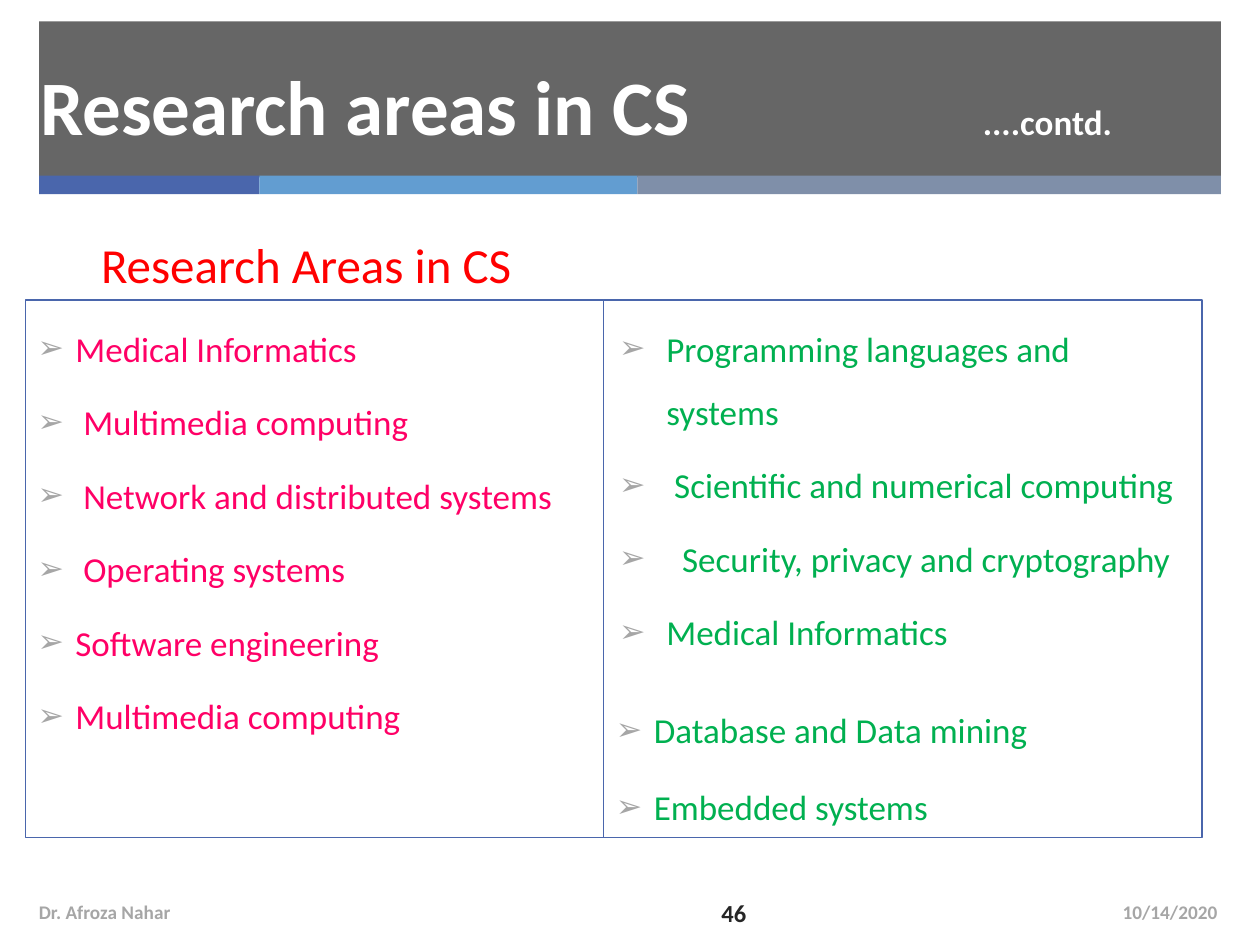
from dataclasses import dataclass

import pptx
import pptx.dml.color
import pptx.enum.shapes
import pptx.enum.text
import pptx.oxml
import pptx.oxml.ns
import pptx.util
from lxml import etree

Pt = pptx.util.Pt
RGBColor = pptx.dml.color.RGBColor
ALIGN = pptx.enum.text.PP_ALIGN
ANCHOR = pptx.enum.text.MSO_ANCHOR
qn = pptx.oxml.ns.qn

FONT = "Calibri"
BAND = RGBColor(0x26, 0x26, 0x26)
BLUE = RGBColor(0x4A, 0x66, 0xAC)
SKY = RGBColor(0x62, 0x9D, 0xD1)
SLATE = RGBColor(0x7F, 0x8F, 0xA9)
GREY = RGBColor(0xA6, 0xA6, 0xA6)
WHITE = RGBColor(0xFF, 0xFF, 0xFF)
RED = RGBColor(0xFF, 0x00, 0x00)
PINK = RGBColor(0xFF, 0x00, 0x66)
GREEN = RGBColor(0x00, 0xB0, 0x50)

SPACE_WIDTH = 4.5


@dataclass
class Box:
    left: float
    top: float
    width: float
    height: float

    def lengths(self) -> tuple:
        return tuple(Pt(v) for v in (self.left, self.top, self.width, self.height))


@dataclass
class Area:
    name: str
    indent: float
    bullet_left: float = 0
    before: float = 6
    spacing: float = 1.5
    align: ALIGN = ALIGN.JUSTIFY


@dataclass
class Label:
    text: str
    box: Box
    size: float
    color: RGBColor
    align: ALIGN = ALIGN.LEFT
    anchor: ANCHOR = ANCHOR.MIDDLE
    bold: bool = True


def style_run(run, size: float, color: RGBColor, bold: bool = False) -> None:
    run.font.name = FONT
    run.font.size = Pt(size)
    run.font.bold = bold
    run.font.color.rgb = color


def add_rectangle(slide, box: Box):
    rectangle = slide.shapes.add_shape(
        pptx.enum.shapes.MSO_SHAPE.RECTANGLE, *box.lengths())
    rectangle.shadow.inherit = False
    return rectangle


def add_bar(slide, box: Box, color: RGBColor, opacity: int = 100) -> None:
    bar = add_rectangle(slide, box)
    bar.fill.solid()
    bar.fill.fore_color.rgb = color
    bar.line.fill.background()
    if opacity < 100:
        rgb = bar.fill._xPr.find(qn("a:solidFill")).find(qn("a:srgbClr"))
        etree.SubElement(rgb, qn("a:alpha"), val=str(opacity * 1000))


def add_label(slide, label: Label) -> None:
    frame = slide.shapes.add_textbox(*label.box.lengths()).text_frame
    frame.word_wrap = True
    frame.vertical_anchor = label.anchor
    frame.text = label.text
    frame.paragraphs[0].alignment = label.align
    style_run(frame.paragraphs[0].runs[0], label.size, label.color, label.bold)


def add_arrow_bullet(paragraph, area: Area) -> None:
    props = paragraph._p.get_or_add_pPr()
    props.set("marL", str(Pt(area.indent)))
    props.set("indent", str(Pt(area.bullet_left - area.indent)))
    color = etree.SubElement(props, qn("a:buClr"))
    etree.SubElement(color, qn("a:srgbClr"), val=str(GREY))
    etree.SubElement(props, qn("a:buSzPct"), val="90000")
    etree.SubElement(props, qn("a:buFont"), typeface=FONT)
    etree.SubElement(props, qn("a:buChar"), char="➢")


def add_panel(slide, box: Box, areas: list[Area], color: RGBColor) -> None:
    panel = add_rectangle(slide, box)
    panel.fill.background()
    panel.line.color.rgb = BLUE
    panel.line.width = Pt(0.75)
    frame = panel.text_frame
    frame.word_wrap = True
    frame.vertical_anchor = ANCHOR.TOP
    frame.margin_right = Pt(10)
    frame.text = "\n".join(area.name for area in areas)
    for paragraph, area in zip(frame.paragraphs, areas):
        paragraph.alignment = area.align
        paragraph.line_spacing = area.spacing
        paragraph.space_before = Pt(area.before)
        add_arrow_bullet(paragraph, area)
        style_run(paragraph.runs[0], 20, color)


def add_title(slide, box: Box, heading: str, suffix: str, tab: float) -> None:
    """Move the title in front of the band, with the suffix at a tab stop."""
    title = slide.shapes.title
    slide.shapes._spTree.append(title._element)
    title.left, title.top, title.width, title.height = box.lengths()
    frame = title.text_frame
    frame.vertical_anchor = ANCHOR.MIDDLE
    paragraph = frame.paragraphs[0]
    paragraph.alignment = ALIGN.LEFT
    stops = etree.SubElement(paragraph._p.get_or_add_pPr(), qn("a:tabLst"))
    etree.SubElement(stops, qn("a:tab"), pos=str(Pt(tab)), algn="l")
    for text, size in ((heading + "\t", 44), (suffix, 20)):
        run = paragraph.add_run()
        run.text = text
        style_run(run, size, WHITE, True)


def right_area(name: str, spaces: int = 0) -> Area:
    return Area(name, RIGHT_INDENT + spaces * SPACE_WIDTH, RIGHT_BULLET,
                align=ALIGN.LEFT)


LEFT_INDENT, RIGHT_INDENT, RIGHT_BULLET = 21.6, 28.8, 1.8
LEFT_AREAS = [
    Area("Medical Informatics", LEFT_INDENT),
    Area("Multimedia computing", LEFT_INDENT + SPACE_WIDTH),
    Area("Network and distributed systems", LEFT_INDENT + SPACE_WIDTH),
    Area("Operating systems", LEFT_INDENT + SPACE_WIDTH),
    Area("Software engineering", LEFT_INDENT),
    Area("Multimedia computing", LEFT_INDENT),
]
RIGHT_AREAS = [
    right_area("Programming languages and systems"),
    right_area("Scientific and numerical computing", spaces=1),
    right_area("Security, privacy and cryptography", spaces=2),
    right_area("Medical Informatics"),
    Area("Database and Data mining", LEFT_INDENT, before=20),
    Area("Embedded systems", LEFT_INDENT, before=20, spacing=1, align=ALIGN.LEFT),
]
LABELS = [
    Label("Research Areas in CS", Box(15.8, 128.2, 318.2, 43.2), 28, RED,
          ALIGN.CENTER, ANCHOR.BOTTOM, False),
    Label("10/14/2020", Box(535, 506.9, 167.8, 28.8), 11, GREY, ALIGN.RIGHT),
    Label("Dr. Afroza Nahar", Box(15.1, 506.9, 230.4, 28.8), 11, GREY),
    Label("46", Box(383.8, 507.6, 49.7, 28.1), 14, BAND, ALIGN.RIGHT),
]


def main() -> None:
    deck = pptx.Presentation()
    deck.slide_width, deck.slide_height = Pt(720), Pt(540)
    slide = deck.slides.add_slide(deck.slide_layouts[5])

    add_bar(slide, Box(22.3, 12.2, 675.4, 89.3), BAND, opacity=70)
    stripe_left = 22.3
    for width, color in ((126, BLUE), (216, SKY), (333.4, SLATE)):
        add_bar(slide, Box(stripe_left, 100.4, width, 10.6), color)
        stripe_left += width

    add_panel(slide, Box(14.4, 171.4, 330.5, 307.4), LEFT_AREAS, PINK)
    add_panel(slide, Box(344.9, 171.4, 342, 307.4), RIGHT_AREAS, GREEN)
    for label in LABELS:
        add_label(slide, label)
    add_title(slide, Box(15.8, 23.8, 673.9, 72),
              "Research areas in CS", "....contd.", tab=538.6)
    deck.save("out.pptx")


if __name__ == "__main__":
    main()
